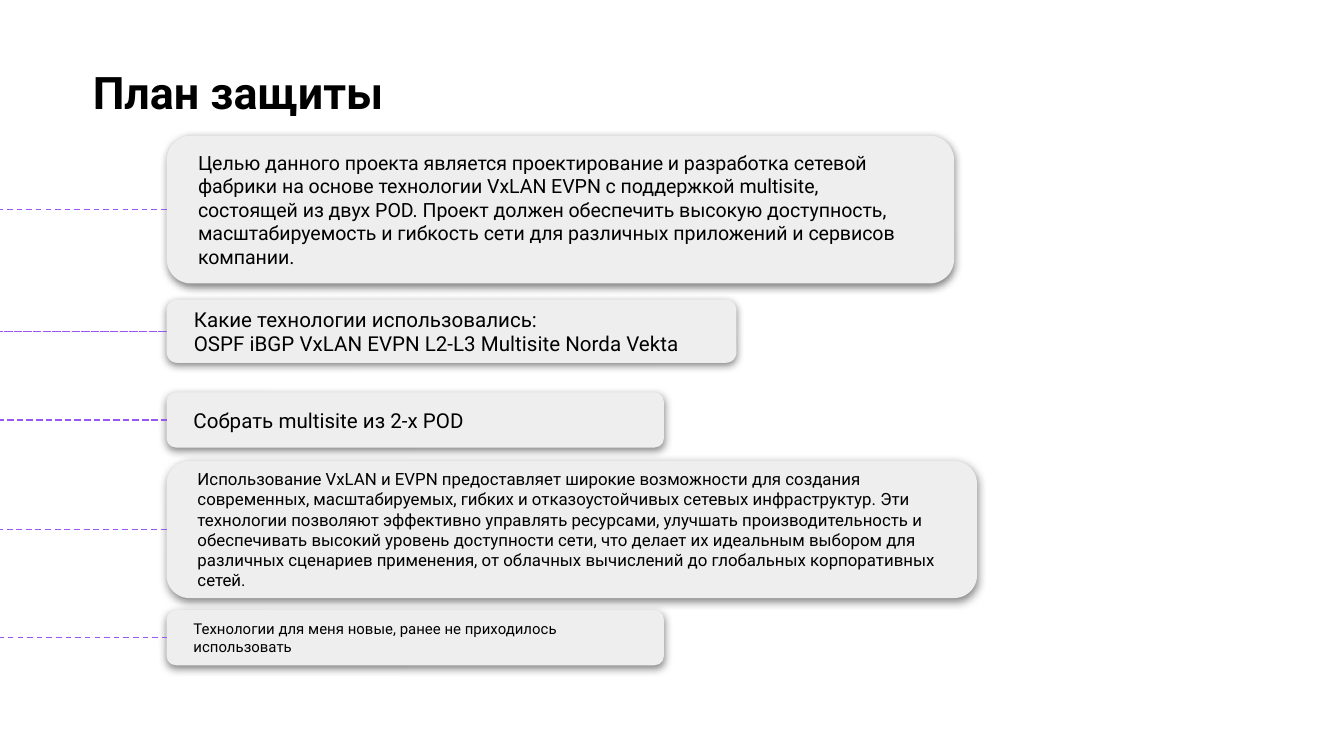
from itertools import pairwise

from lxml import etree
from pptx import Presentation
from pptx import util as u
from pptx.dml.color import RGBColor
from pptx.enum import dml, shapes, text
from pptx.oxml import ns

BLACK = RGBColor(0x00, 0x00, 0x00)
GREY = RGBColor(0xEE, 0xEE, 0xEE)
PURPLE = RGBColor(0x98, 0x57, 0xF3)
FONT = "Roboto"

CARD_LEFT = u.Inches(1.24)
BEND = u.Inches(0.25)  # how far the connectors reach out to the left
RUN = u.Emu(100)  # tiny horizontal run that the bend is a multiple of

# Cards: top, width, height (inches), text size, alignment, paragraphs
LEFT, JUSTIFY = text.PP_ALIGN.LEFT, text.PP_ALIGN.JUSTIFY
CARDS = [
    (1.01, 5.86, 1.1, 10.5, LEFT, [
        "Целью данного проекта является проектирование и разработка сетевой "
        "фабрики на основе технологии VxLAN EVPN с поддержкой multisite, "
        "состоящей из двух POD. Проект должен обеспечить высокую доступность, "
        "масштабируемость и гибкость сети для различных приложений и сервисов "
        "компании."]),
    (2.23, 4.24, 0.47, 11, JUSTIFY, [
        "Какие технологии использовались:",
        "OSPF iBGP VxLAN EVPN L2-L3 Multisite Norda Vekta"]),
    (2.92, 3.7, 0.41, 11, LEFT, ["Собрать multisite из 2-х POD"]),
    (3.43, 6.03, 1.02, 9, LEFT, [
        "Использование VxLAN и EVPN предоставляет широкие возможности для "
        "создания современных, масштабируемых, гибких и отказоустойчивых "
        "сетевых инфраструктур. Эти технологии позволяют эффективно управлять "
        "ресурсами, улучшать производительность и обеспечивать высокий уровень "
        "доступности сети, что делает их идеальным выбором для различных "
        "сценариев применения, от облачных вычислений до глобальных "
        "корпоративных сетей."]),
    (4.54, 3.7, 0.41, 8, LEFT, [
        "Технологии для меня новые, ранее не приходилось использовать"]),
]


def format_text(frame, size, bold=False, alignment=LEFT):
    for paragraph in frame.paragraphs:
        paragraph.alignment = alignment
        for run in paragraph.runs:
            run.font.name = FONT
            run.font.size = u.Pt(size)
            run.font.bold = bold
            run.font.color.rgb = BLACK


def set_insets(frame, side, end):
    frame.margin_left = frame.margin_right = u.Inches(side)
    frame.margin_top = frame.margin_bottom = u.Inches(end)


def add_shadow(shape):
    effects = etree.SubElement(shape._element.spPr, ns.qn("a:effectLst"))
    shadow = etree.SubElement(
        effects, ns.qn("a:outerShdw"), blurRad=str(u.Pt(4.5)),
        dist=str(u.Pt(1.5)), dir="5400000", algn="bl", rotWithShape="0")
    color = etree.SubElement(shadow, ns.qn("a:srgbClr"), val=str(BLACK))
    etree.SubElement(color, ns.qn("a:alpha"), val="50000")


def add_title(slide, words):
    title = slide.shapes.title
    title.left, title.top = u.Inches(0.59), u.Inches(0.38)
    title.width, title.height = u.Inches(9.32), u.Inches(0.61)
    frame = title.text_frame
    frame.text = words
    frame.vertical_anchor = text.MSO_ANCHOR.TOP
    set_insets(frame, 0.1, 0.1)
    format_text(frame, 24, bold=True)


def add_card(slide, top, width, height, size, alignment, lines):
    card = slide.shapes.add_shape(
        shapes.MSO_SHAPE.ROUNDED_RECTANGLE, CARD_LEFT, u.Inches(top),
        u.Inches(width), u.Inches(height))
    card.fill.solid()
    card.fill.fore_color.rgb = GREY
    card.line.fill.background()
    add_shadow(card)
    frame = card.text_frame
    frame.word_wrap = True
    frame.vertical_anchor = text.MSO_ANCHOR.MIDDLE
    set_insets(frame, 0.18, 0.1)
    frame.text = "\n".join(lines)
    format_text(frame, size, alignment=alignment)
    return card


def add_link(slide, upper, lower):
    start, end = (card.top + card.height // 2 for card in (upper, lower))
    link = slide.shapes.add_connector(
        shapes.MSO_CONNECTOR.ELBOW, CARD_LEFT, start, CARD_LEFT - RUN, end)
    link.line.color.rgb = PURPLE
    link.line.width = u.Pt(0.75)
    link.line.dash_style = dml.MSO_LINE.DASH
    properties = link._element.spPr
    # Move the bend to the left of the cards
    guides = properties.find(ns.qn("a:prstGeom")).find(ns.qn("a:avLst"))
    share = BEND * 100000 // RUN
    etree.SubElement(guides, ns.qn("a:gd"), name="adj1", fmla=f"val {share}")
    etree.SubElement(properties, ns.qn("a:effectLst"))


def main():
    presentation = Presentation()
    presentation.slide_width = u.Inches(10)
    presentation.slide_height = u.Inches(10) * 9 // 16
    slide = presentation.slides.add_slide(presentation.slide_layouts[5])

    add_title(slide, "План защиты")
    cards = [add_card(slide, *card) for card in CARDS]
    # Dashed links between neighbouring cards
    for upper, lower in pairwise(cards):
        add_link(slide, upper, lower)

    presentation.save("out.pptx")


if __name__ == "__main__":
    main()
